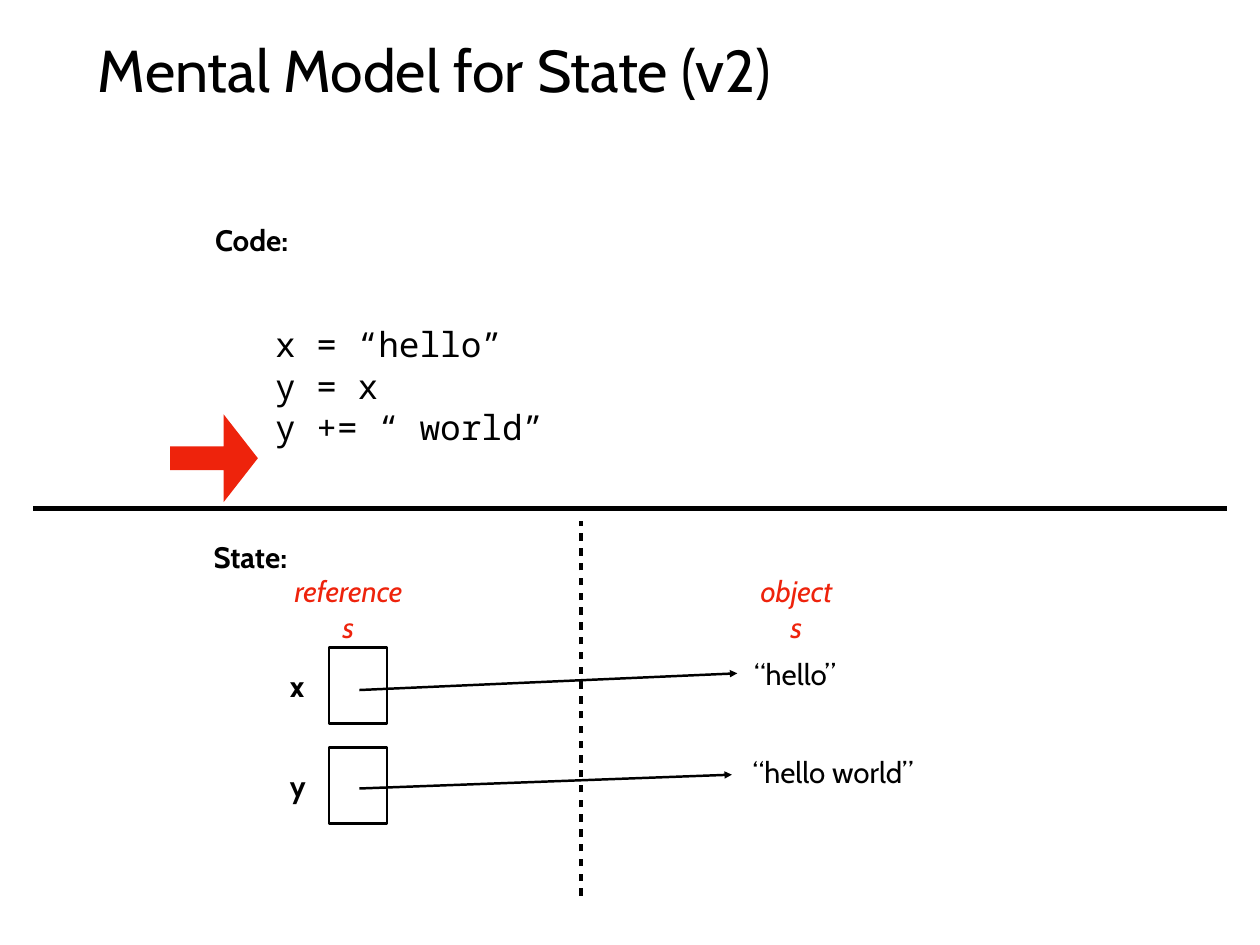
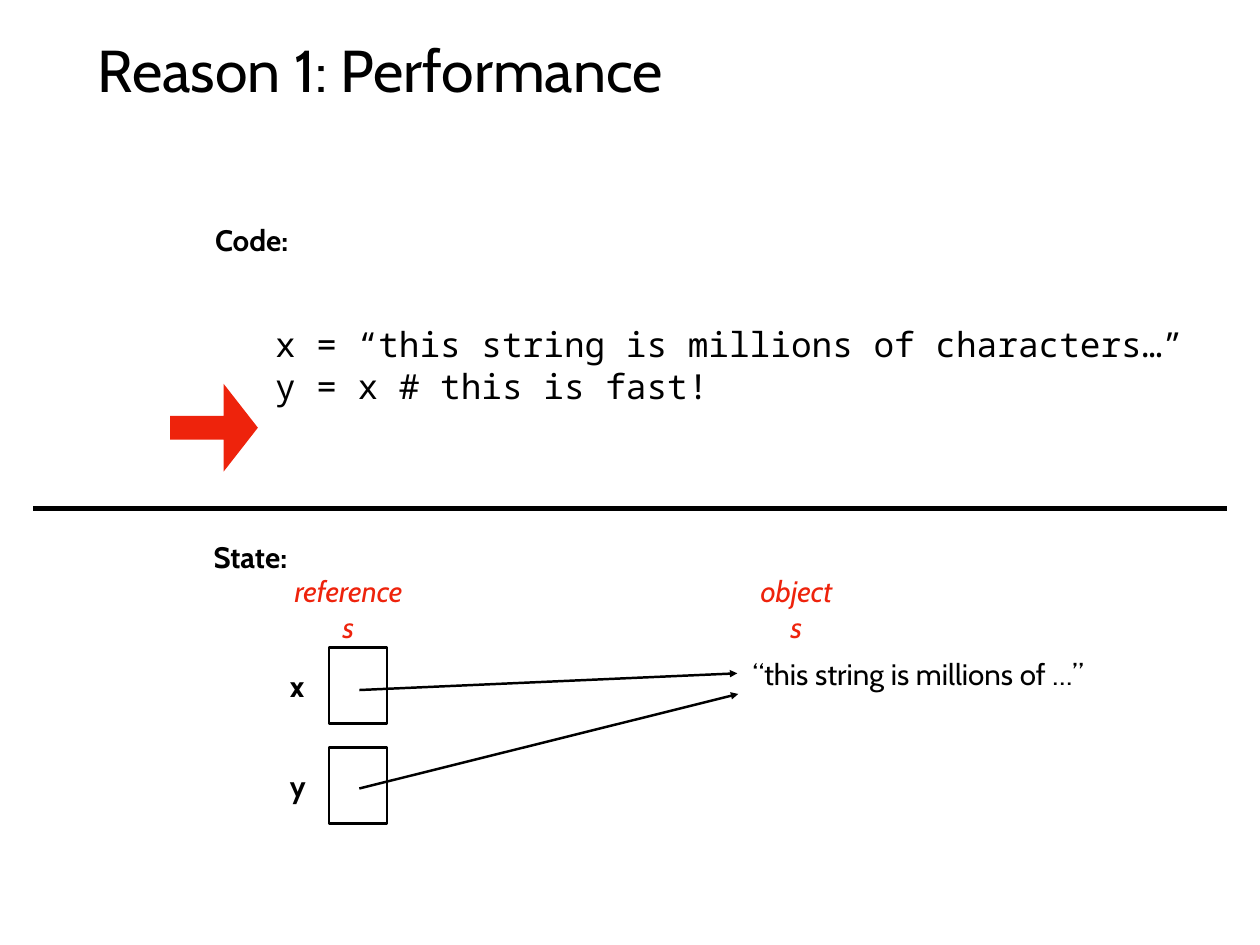
from dataclasses import dataclass

from lxml import etree
from pptx import Presentation
from pptx import util as u
from pptx.dml import color
from pptx.enum import shapes, text
from pptx.oxml import ns

COLUMNS, ROWS = 128, 96
CELL = u.Inches(1) / 9
VARIABLE_PITCH = 10.15


@dataclass(frozen=True)
class Theme:
    ink: color.RGBColor = color.RGBColor.from_string("000000")
    paper: color.RGBColor = color.RGBColor.from_string("FFFFFF")
    accent: color.RGBColor = color.RGBColor.from_string("EE230C")
    body_font: str = "Cabin"
    code_font: str = "Noto Sans Mono"
    title_size: int = 48
    code_size: int = 28
    label_size: int = 24
    inset: float = 0.55


def grid(*cells):
    """Turn grid cells into slide lengths."""
    return [u.Emu(round(cell * CELL)) for cell in cells]


def add_xml(parent, tag, **attributes):
    return etree.SubElement(parent, ns.qn(tag), attributes)


class StateDeck:
    def __init__(self, theme):
        self.theme = theme
        self.presentation = Presentation()
        self.presentation.slide_width, self.presentation.slide_height = grid(COLUMNS, ROWS)
        self.slide = None

    def add_slide(self, title):
        self.slide = self.presentation.slides.add_slide(self.presentation.slide_layouts[5])
        shape = self.slide.shapes.title
        shape.left, shape.top, shape.width, shape.height = grid(9.4, 2.5, 109.3, 8.9)
        self.fill_text(shape.text_frame, [title], size=self.theme.title_size, wrap=True)

    def fill_text(self, frame, lines, size=None, font=None, ink=None, bold=False, italic=False,
                  wrap=False, align=text.PP_ALIGN.LEFT, anchor=text.MSO_ANCHOR.MIDDLE):
        theme = self.theme
        frame.auto_size = text.MSO_AUTO_SIZE.NONE
        frame.word_wrap = wrap
        frame.vertical_anchor = anchor
        inset = grid(theme.inset)[0]
        frame.margin_left = frame.margin_top = frame.margin_right = frame.margin_bottom = inset
        for index, line in enumerate(lines):
            paragraph = frame.add_paragraph() if index else frame.paragraphs[0]
            paragraph.alignment = align
            run = paragraph.add_run()
            run.text = line
            run.font.name = font or theme.body_font
            run.font.size = u.Pt(size or theme.label_size)
            run.font.color.rgb = ink or theme.ink
            run.font.bold, run.font.italic = bold, italic

    def label(self, wording, left, top, width, **style):
        box = self.slide.shapes.add_textbox(*grid(left, top, width, 4.5))
        self.fill_text(box.text_frame, [wording], **style)

    def heading(self, wording, left, width):
        """Column heading, narrow enough for its last letter to wrap."""
        self.label(wording, left, 59.6, width, ink=self.theme.accent, italic=True,
                   wrap=True, align=text.PP_ALIGN.CENTER)

    def code(self, lines, width):
        box = self.slide.shapes.add_textbox(*grid(27.4, 32.3, width, 13.8))
        self.fill_text(box.text_frame, lines, size=self.theme.code_size,
                       font=self.theme.code_font, anchor=text.MSO_ANCHOR.TOP)

    def shape(self, kind, left, top, width, height, fill):
        shape = self.slide.shapes.add_shape(kind, *grid(left, top, width, height))
        shape.shadow.inherit = False
        shape.fill.solid()
        shape.fill.fore_color.rgb = fill
        shape.line.fill.background()
        return shape

    def step_arrow(self, top):
        arrow = self.shape(shapes.MSO_SHAPE.RIGHT_ARROW, 17.3, top, 8.9, 8.9, self.theme.accent)
        arrow.adjustments[0], arrow.adjustments[1] = 0.27, 0.39

    def variable(self, name, row):
        shift = row * VARIABLE_PITCH
        self.label(name, 28.9, 67.4 + shift, 3, bold=True)
        box = self.shape(shapes.MSO_SHAPE.RECTANGLE, 33.4, 65.8 + shift, 5.9, 7.7,
                         self.theme.paper)
        box.line.color.rgb = self.theme.ink
        box.line.width = u.Pt(2)

    def line(self, start, end, width, dashed=False, arrow=False):
        connector = self.slide.shapes.add_connector(
            shapes.MSO_CONNECTOR.STRAIGHT, *grid(*start, *end))
        connector.line.color.rgb = self.theme.ink
        connector.line.width = u.Pt(width)
        properties = connector._element.spPr
        outline = properties.find(ns.qn("a:ln"))
        if dashed:
            add_xml(add_xml(outline, "a:custDash"), "a:ds", d="200000", sp="200000")
        if arrow:
            add_xml(outline, "a:tailEnd", type="triangle")
        add_xml(properties, "a:effectLst")

    def state_slide(self, title, code, code_width, arrow_top, objects, targets, split=False):
        """Code above the divider, references and the objects they point at below."""
        self.add_slide(title)
        self.label("Code:", 21.3, 22.1, 9.8, bold=True)
        self.label("State:", 21.15, 54.3, 10.1, bold=True)
        for row, name in enumerate("xy"):
            self.variable(name, row)
        self.code(code, code_width)
        self.step_arrow(arrow_top)
        self.line((3.4, 51.7), (124.6, 51.7), 4)
        self.heading("references", 29.1, 12.6)
        self.heading("objects", 76.5, 8.8)
        for wording, left, top, width in objects:
            self.label(wording, left, top, width)
        for start_row, target in zip((70.1, 80.1), targets):
            self.line((36.5, start_row), target, 2, arrow=True)
        if split:
            self.line((59, 91), (59, 52.9), 3, dashed=True)


def main():
    deck = StateDeck(Theme())
    deck.state_slide(
        "Mental Model for State (v2)",
        ["x = “hello”", "y = x", "y += “ world”"], 28.5, 42.1,
        [("“hello”", 76.05, 66.15, 9.6), ("“hello world”", 75.9, 76.15, 17.6)],
        [(74.9, 68.4), (74.35, 78.7)], split=True)
    deck.state_slide(
        "Reason 1: Performance",
        ["x = “this string is millions of characters…”", "y = x # this is fast!"], 95.7, 39,
        [("“this string is millions of …”", 75.9, 66.15, 35.4)],
        [(74.9, 68.4), (75, 70.5)])
    deck.presentation.save("out.pptx")


if __name__ == "__main__":
    main()
